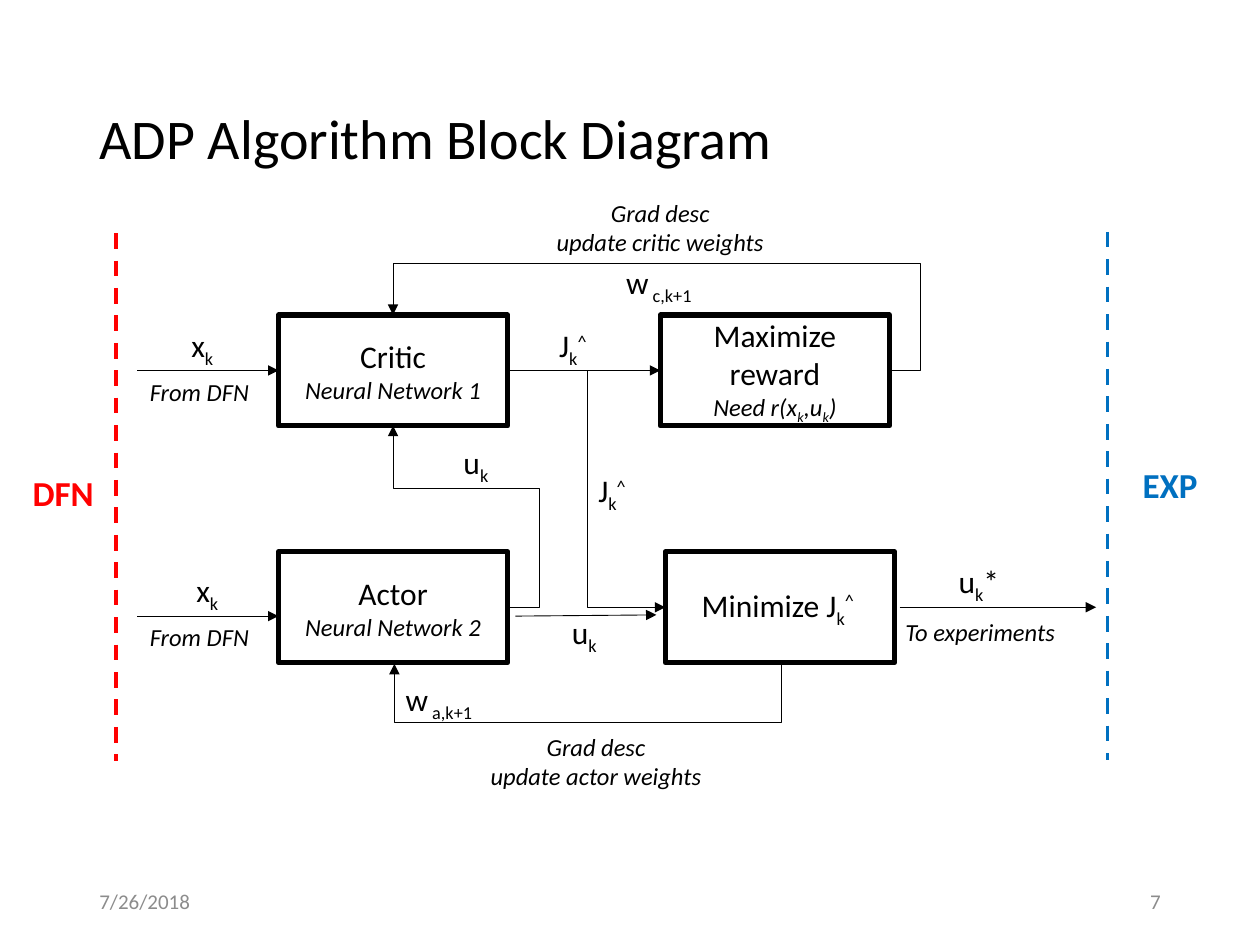
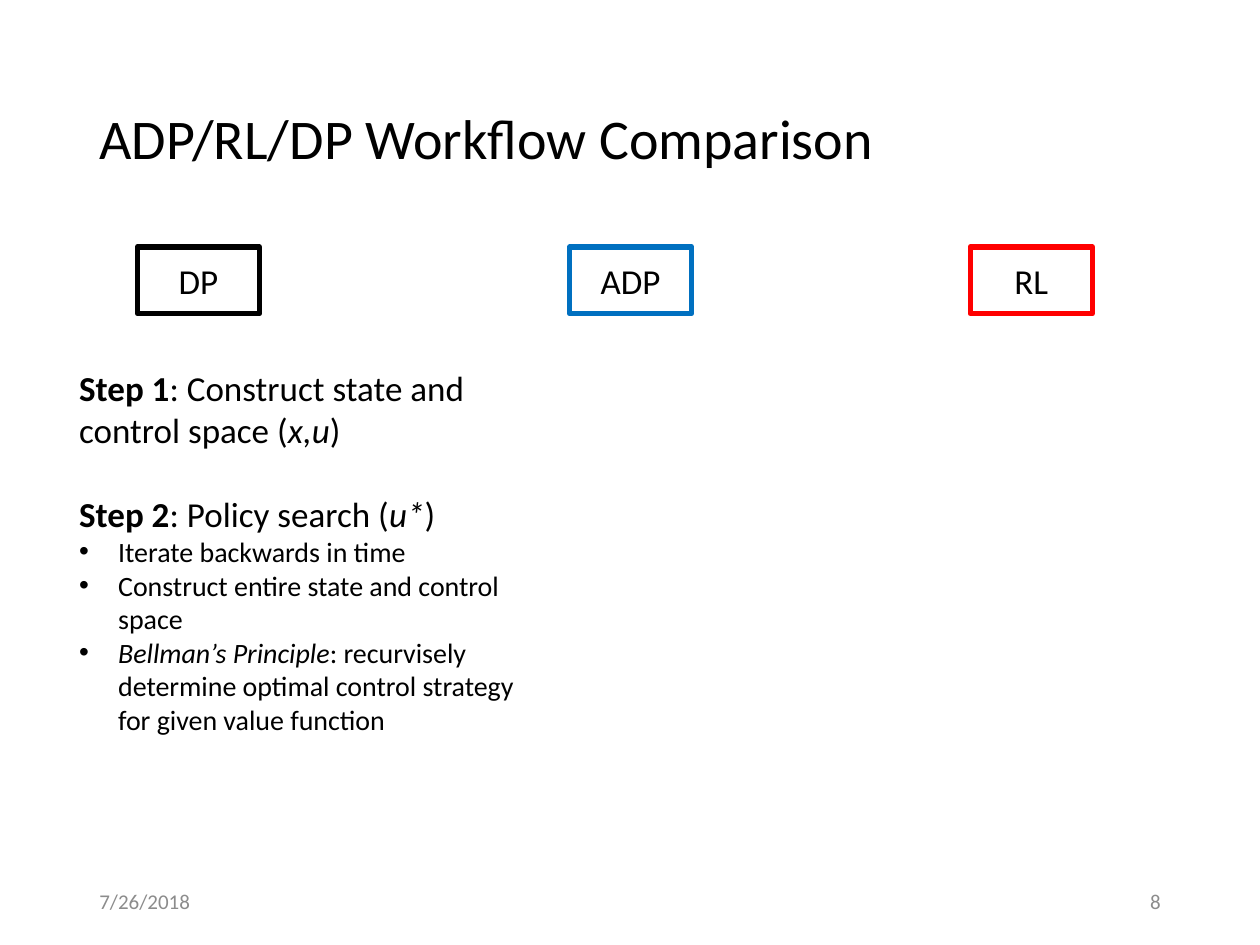
from pptx import Presentation
from pptx.dml.color import RGBColor
from pptx.enum.dml import MSO_LINE as Dash
from pptx.enum.shapes import MSO_CONNECTOR as Conn, MSO_SHAPE as Shape
from pptx.enum.text import MSO_ANCHOR as Anchor, MSO_AUTO_SIZE as Auto, PP_ALIGN as Align
from pptx.oxml.ns import qn
from pptx.util import Inches, Pt
from lxml.etree import SubElement

BLACK = RGBColor(0x00, 0x00, 0x00)
WHITE = RGBColor(0xFF, 0xFF, 0xFF)
GREY = RGBColor(0x8C, 0x8C, 0x8C)
RED = RGBColor(0xFF, 0x00, 0x00)
BLUE = RGBColor(0x00, 0x70, 0xC0)
FONT = "Calibri"
BASE = {"_": "-25000", "^": "30000"}


def write(frame, paras, color=BLACK, align=Align.LEFT):
    for num, (size, *runs) in enumerate(paras):
        para = frame.add_paragraph() if num else frame.paragraphs[0]
        para.alignment = align
        for text, style in runs:
            run = para.add_run()
            run.text = text
            run.font.name = FONT
            run.font.size = Pt(size)
            run.font.color.rgb = color
            run.font.bold = "b" in style
            run.font.italic = "i" in style
            for mark in BASE:
                if mark in style:
                    run.font._element.set("baseline", BASE[mark])


def wire(start, end, color=BLACK, width=0.5, dash=None, bends=()):
    kind = Conn.ELBOW if bends else Conn.STRAIGHT
    ends = [Inches(v) for v in (*start, *end)]
    line = slide.shapes.add_connector(kind, *ends)
    line.line.color.rgb = color
    line.line.width = Pt(width)
    props = line._element.spPr
    if dash:
        line.line.dash_style = dash
    else:
        SubElement(props.find(qn("a:ln")), qn("a:tailEnd"), type="triangle")
    SubElement(props, qn("a:effectLst"))
    if bends:
        geom = props.find(qn("a:prstGeom"))
        geom.set("prst", f"bentConnector{len(bends) + 2}")
        for num, bend in enumerate(bends, 1):
            SubElement(geom.find(qn("a:avLst")), qn("a:gd"),
                       name=f"adj{num}", fmla=f"val {round(bend * 100000)}")
    return line


deck = Presentation()
deck.slide_width, deck.slide_height = Inches(10), Inches(7.5)

slides = []
for page, name in [(7, "ADP Algorithm Block Diagram"),
                   (8, "ADP/RL/DP Workflow Comparison")]:
    slide = deck.slides.add_slide(deck.slide_layouts[5])
    slides.append(slide)
    title = slide.shapes.title
    title.left, title.top = Inches(0.69), Inches(0.4)
    title.width, title.height = Inches(8.62), Inches(1.45)
    title.text_frame.vertical_anchor = Anchor.MIDDLE
    write(title.text_frame, [(32, (name, ""))])
    title.text_frame.paragraphs[0].line_spacing = 0.9
    for left, text, align in [(0.69, "7/26/2018", Align.LEFT),
                              (7.06, str(page), Align.RIGHT)]:
        foot = slide.shapes.add_textbox(Inches(left), Inches(6.95), Inches(2.25), Inches(0.4))
        foot.text_frame.word_wrap = True
        foot.text_frame.vertical_anchor = Anchor.MIDDLE
        write(foot.text_frame, [(12, (text, ""))], GREY, align)

big, small = (1.82, 0.88), (0.97, 0.53)
need = [("Need r(x", "i"), ("k", "i_"), (",u", "i"), ("k", "i_"), (")", "i")]
boxes = [
    (0, 2.21, 2.5, big, BLACK, [(18, ("Critic", "")), (14, ("Neural Network 1", "i"))]),
    (0, 2.21, 4.38, big, BLACK, [(18, ("Actor", "")), (14, ("Neural Network 2", "i"))]),
    (0, 5.24, 2.5, big, BLACK, [(18, ("Maximize reward", "")), (14, *need)]),
    (0, 5.28, 4.38, big, BLACK, [(18, ("Minimize J", ""), ("k", "_"), ("^ ", "^"))]),
    (1, 1.09, 1.96, small, BLACK, [(20, ("DP", ""))]),
    (1, 4.52, 1.96, small, BLUE, [(20, ("ADP", ""))]),
    (1, 7.7, 1.96, small, RED, [(20, ("RL", ""))]),
]
for index, left, top, (width, height), color, paras in boxes:
    box = slides[index].shapes.add_shape(
        Shape.RECTANGLE, Inches(left), Inches(top), Inches(width), Inches(height))
    box.shadow.inherit = False
    box.fill.solid()
    box.fill.fore_color.rgb = WHITE
    box.line.color.rgb = color
    box.line.width = Pt(3)
    box.text_frame.word_wrap = True
    box.text_frame.vertical_anchor = Anchor.MIDDLE
    write(box.text_frame, paras, align=Align.CENTER)

slide = slides[0]
for start, end in [((1.09, 2.94), (2.21, 2.94)), ((4.03, 2.94), (5.24, 2.94)),
                   ((1.09, 4.89), (2.21, 4.89)), ((4.09, 4.89), (5.21, 4.88)),
                   ((7.14, 4.82), (8.7, 4.82))]:
    wire(start, end)
wire((4.03, 4.82), (3.12, 3.38), bends=(-0.275, 0.653))
wire((4.03, 2.94), (5.28, 4.82), bends=(0.503,))
wire((7.06, 2.94), (3.12, 2.5), bends=(-0.063, 1.927))
loop = wire((4.66, 3.73), (4.67, 6.8), bends=(48,))
loop._element.spPr.find(qn("a:xfrm")).set("rot", "5400000")
wire((0.92, 1.85), (0.92, 6.04), RED, 2.25, Dash.DASH)
wire((8.79, 1.84), (8.79, 6.03), BLUE, 2.25, Dash.DASH)

sub = ("k", "_")
cost = [(18, ("J", ""), sub, ("^", "^"))]
state = [(18, ("x", ""), sub)]
act = [(18, ("u", ""), sub)]
source = [(14, ("From DFN", "i"))]
labels = [
    (1.42, 2.54, 0.39, 0.4, state, BLACK),
    (1.46, 4.48, 0.39, 0.4, state, BLACK),
    (1.09, 2.94, 0.99, 0.34, source, BLACK),
    (1.09, 4.89, 0.99, 0.34, source, BLACK),
    (4.34, 2.54, 0.44, 0.4, cost, BLACK),
    (4.65, 3.69, 0.44, 0.4, cost, BLACK),
    (4.44, 4.82, 0.41, 0.4, act, BLACK),
    (3.58, 3.47, 0.41, 0.4, act, BLACK),
    (7.51, 4.41, 0.54, 0.4, [(18, ("u", ""), sub, ("*", ""))], BLACK),
    (4.87, 2.04, 0.78, 0.4, [(18, ("w", ""), (" c,k+1", "_"))], BLACK),
    (3.12, 5.35, 0.79, 0.4, [(18, ("w", ""), (" a,k+1", "_"))], BLACK),
    (0.16, 3.69, 0.69, 0.44, [(20, ("DFN", "b"))], RED),
    (8.97, 3.63, 0.64, 0.44, [(20, ("EXP", "b"))], BLUE),
]
for left, top, width, height, paras, color in labels:
    label = slide.shapes.add_textbox(Inches(left), Inches(top), Inches(width), Inches(height))
    label.text_frame.word_wrap = False
    label.text_frame.auto_size = Auto.SHAPE_TO_FIT_TEXT
    write(label.text_frame, paras, color)

notes = [
    (4.3, 1.52, 1.88, 0.57, ["Grad desc", "update critic weights"]),
    (3.79, 5.76, 1.88, 0.57, ["Grad desc", "update actor weights"]),
    (7.06, 4.85, 1.44, 0.34, ["To experiments"]),
]
for left, top, width, height, lines in notes:
    note = slide.shapes.add_textbox(Inches(left), Inches(top), Inches(width), Inches(height))
    note.text_frame.word_wrap = True
    write(note.text_frame, [(14, (text, "i")) for text in lines], align=Align.CENTER)

steps = slides[1].shapes.add_textbox(Inches(0.53), Inches(2.86), Inches(3.66), Inches(3.06))
steps.text_frame.word_wrap = True
write(steps.text_frame, [
    (20, ("Step 1", "b"), (": Construct state and control space (", ""), ("x,u", "i"), (")", "")),
    (20, ("Step 2", "b"), (": Policy search (", ""), ("u*", "i"), (")", "")),
    (16, ("Iterate backwards in time", "")),
    (16, ("Construct entire state and control space", "")),
    (16, ("Bellman’s Principle", "i"),
     (": recurvisely determine optimal control strategy for given value function", "")),
])
paras = steps.text_frame.paragraphs
paras[1].space_before = Pt(24)
for para in paras[2:]:
    props = para._p.get_or_add_pPr()
    props.set("marL", str(Inches(0.31)))
    props.set("indent", str(Inches(-0.31)))
    SubElement(props, qn("a:buFont"), typeface="Arial")
    SubElement(props, qn("a:buChar"), char="•")

deck.save("out.pptx")
